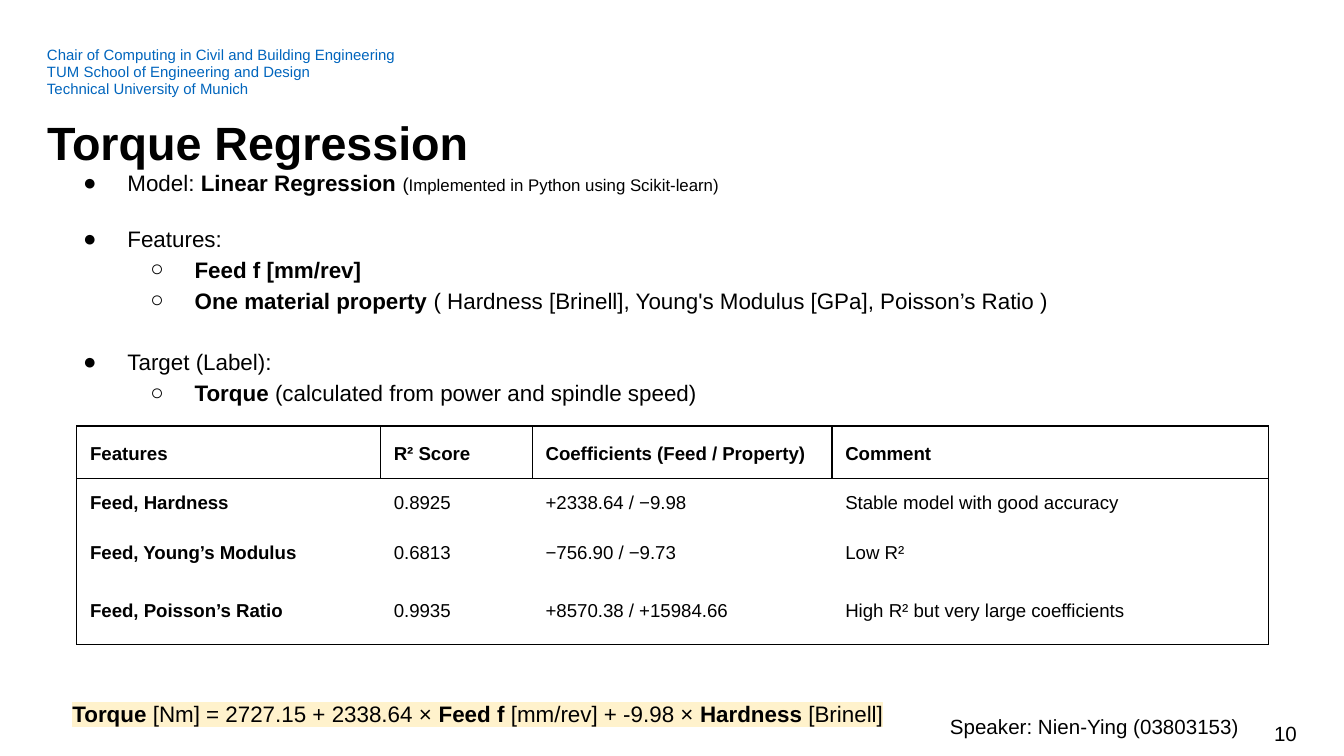
"""Build the torque regression slide with its feature list, result table and formula."""
from lxml import etree
from pptx import Presentation
from pptx.dml.color import RGBColor
from pptx.enum.text import MSO_ANCHOR, PP_ALIGN
from pptx.oxml.ns import qn
from pptx.util import Inches, Pt

TOP, MIDDLE = MSO_ANCHOR.TOP, MSO_ANCHOR.MIDDLE
LEFT, RIGHT = PP_ALIGN.LEFT, PP_ALIGN.RIGHT
COLORS = {"text": "000000", "header": "0065BD", "highlight": "FFF2CC"}


def set_frame(frame, anchor, inset_x, inset_y):
    frame.word_wrap = True
    frame.vertical_anchor = anchor
    frame.margin_left = frame.margin_right = Inches(inset_x)
    frame.margin_top = frame.margin_bottom = Inches(inset_y)


def write(para, spans, size, color="text", bold=None, spacing=1.0, align=LEFT):
    para.alignment = align
    para.line_spacing = spacing
    para.font.name = "Arial"
    para.font.size = Pt(size)
    para.font.bold = bold
    para.font.color.rgb = RGBColor.from_string(COLORS[color])
    for text, span_bold, span_size in spans:
        span = para.add_run()
        span.text = text
        span.font.name = "Arial"
        span.font.size = Pt(span_size or size)
        span.font.bold = bold if span_bold is None else span_bold
        span.font.color.rgb = RGBColor.from_string(COLORS[color])


deck = Presentation()
deck.slide_width, deck.slide_height = Inches(10), Inches(5.625)
page = deck.slides.add_slide(deck.slide_layouts[5])

title = page.shapes.title
title.left, title.top = Inches(0.35), Inches(0.73)
title.width, title.height = Inches(9.31), Inches(0.42)
set_frame(title.text_frame, TOP, 0, 0)
write(title.text_frame.paragraphs[0], [("Torque Regression", None, None)], 25, bold=True, spacing=1.28)

header = page.shapes.add_textbox(Inches(0.35), Inches(0.35), Inches(7.83), Inches(0.38))
set_frame(header.text_frame, TOP, 0, 0)
header_lines = [
    "Chair of Computing in Civil and Building Engineering",
    "TUM School of Engineering and Design",
    "Technical University of Munich",
]
for index, line in enumerate(header_lines):
    para = header.text_frame.add_paragraph() if index else header.text_frame.paragraphs[0]
    write(para, [(line, None, None)], 8, color="header", spacing=0.94)

number = page.shapes.add_textbox(Inches(7.41), Inches(5.31), Inches(2.24), Inches(0.3))
set_frame(number.text_frame, MIDDLE, 0, 0.05)
write(number.text_frame.paragraphs[0], [("10", None, None)], 11, align=RIGHT)

speaker = page.shapes.add_textbox(Inches(6.97), Inches(5.22), Inches(2.43), Inches(0.39))
set_frame(speaker.text_frame, TOP, 0.1, 0.1)
write(speaker.text_frame.paragraphs[0], [("Speaker: Nien-Ying (03803153)", None, None)], 11)

outline = page.shapes.add_textbox(Inches(0.35), Inches(1.21), Inches(8.93), Inches(1.83))
set_frame(outline.text_frame, MIDDLE, 0.1, 0.1)
outline_items = [
    (0, 0, [("Model: ", False, 12), ("Linear Regression ", True, 12), ("(", False, 10),
            ("Implemented in Python using Scikit-learn)", False, 9)]),
    (0, 13.5, [("Features:", False, 12)]),
    (1, 0, [("Feed f [mm/rev]", True, 12)]),
    (1, 0, [("One material property", True, 12),
            (" ( Hardness [Brinell], Young's Modulus [GPa], Poisson’s Ratio )", False, 12)]),
    (0, 16.5, [("Target (Label):", False, 12)]),
    (1, 0, [("Torque", True, 12), (" (calculated from power and spindle speed)", False, 12)]),
]
for index, (level, gap, spans) in enumerate(outline_items):
    para = outline.text_frame.add_paragraph() if index else outline.text_frame.paragraphs[0]
    para.level = level
    para.space_before = Pt(gap)
    para.line_spacing = 1.15
    properties = para._p.get_or_add_pPr()
    properties.set("marL", str(Inches(0.5 * (level + 1))))
    properties.set("indent", str(Inches(-0.33)))
    bullet_color = etree.SubElement(properties, qn("a:buClr"))
    etree.SubElement(bullet_color, qn("a:srgbClr"), val=COLORS["text"])
    etree.SubElement(properties, qn("a:buFont"), typeface="Arial")
    etree.SubElement(properties, qn("a:buChar"), char="●○"[level])
    write(para, spans, 12, spacing=1.15)

rows = [
    ("Features", "R² Score", "Coefficients (Feed / Property)", "Comment"),
    ("Feed, Hardness", "0.8925", "+2338.64 / −9.98", "Stable model with good accuracy"),
    ("Feed, Young’s Modulus", "0.6813", "−756.90 / −9.73", "Low R²"),
    ("Feed, Poisson’s Ratio", "0.9935", "+8570.38 / +15984.66", "High R² but very large coefficients"),
]
widths = [2.26, 1.13, 2.23, 3.25]
heights = [0.39, 0.36, 0.36, 0.5]
results = page.shapes.add_table(
    len(rows), len(widths), Inches(0.57), Inches(3.17), Inches(sum(widths)), Inches(sum(heights))
).table
results.first_row = results.horz_banding = False
for column, width in zip(results.columns, widths):
    column.width = Inches(width)
for r, (row, height) in enumerate(zip(rows, heights)):
    results.rows[r].height = Inches(height)
    for c, text in enumerate(row):
        cell = results.cell(r, c)
        cell.vertical_anchor = MIDDLE
        cell.margin_left = cell.margin_right = Inches(0.1)
        cell.margin_top = cell.margin_bottom = Inches(0.1)
        is_header = r == 0
        write(cell.text_frame.paragraphs[0], [(text, None, None)], 10,
              bold=is_header or c == 0, spacing=1.15 if is_header else 1.0)
        edges = {
            "a:lnL": is_header or c == 0,
            "a:lnR": is_header or c == len(widths) - 1,
            "a:lnT": r <= 1,
            "a:lnB": is_header or r == len(rows) - 1,
        }
        for edge, visible in edges.items():
            border = etree.SubElement(cell._tc.get_or_add_tcPr(), qn(edge), w=str(Pt(0.75)))
            if visible:
                fill = etree.SubElement(border, qn("a:solidFill"))
                etree.SubElement(fill, qn("a:srgbClr"), val=COLORS["text"])
            else:
                etree.SubElement(border, qn("a:noFill"))
        cell.fill.background()

formula = page.shapes.add_textbox(Inches(0.44), Inches(5.11), Inches(7.48), Inches(0.4))
set_frame(formula.text_frame, TOP, 0.1, 0.1)
formula_para = formula.text_frame.paragraphs[0]
write(formula_para, [
    ("Torque", True, None),
    (" [Nm] = 2727.15 + 2338.64 × ", False, None),
    ("Feed f", True, None),
    (" [mm/rev] + -9.98 × ", False, None),
    ("Hardness", True, None),
    (" [Brinell]", False, None),
], 12)
for span in formula_para.runs:
    highlight = etree.Element(qn("a:highlight"))
    etree.SubElement(highlight, qn("a:srgbClr"), val=COLORS["highlight"])
    span.font._element.find(qn("a:solidFill")).addnext(highlight)

deck.save("out.pptx")
